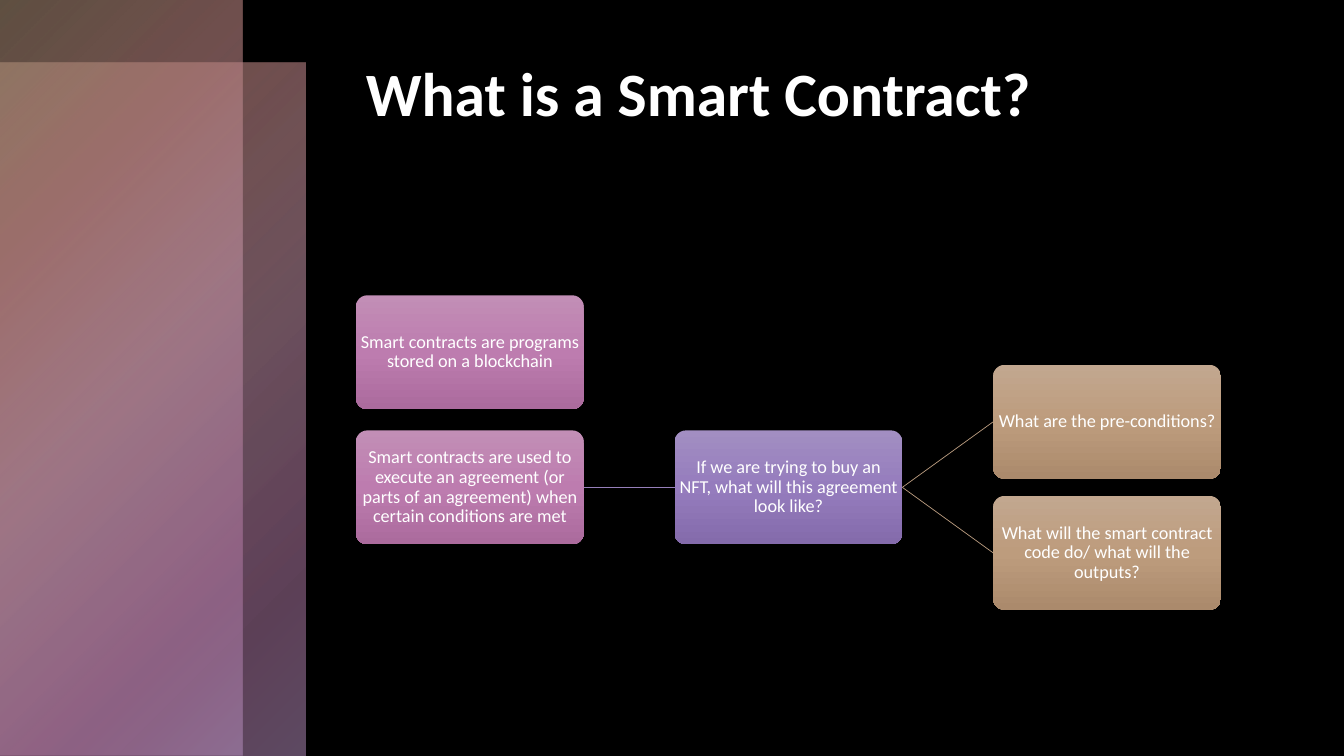
import pptx
import pptx.util
import pptx.dml.color
import pptx.enum.shapes
import pptx.enum.text
import pptx.oxml
import pptx.oxml.ns

Inches = pptx.util.Inches
Pt = pptx.util.Pt
RGBColor = pptx.dml.color.RGBColor
Shapes = pptx.enum.shapes.MSO_SHAPE

BLACK = RGBColor(0x00, 0x00, 0x00)
WHITE = RGBColor(0xFF, 0xFF, 0xFF)
LILAC = RGBColor(0x96, 0x7F, 0xBA)
TAN = RGBColor(0xBA, 0x9C, 0x80)
PINK_SHADES = (RGBColor(0xC2, 0x8E, 0xB6), RGBColor(0xBD, 0x7C, 0xAF), RGBColor(0xAB, 0x6B, 0x9D))
LILAC_SHADES = (RGBColor(0xA2, 0x8E, 0xC2), RGBColor(0x95, 0x7C, 0xBD), RGBColor(0x84, 0x6B, 0xAB))
TAN_SHADES = (RGBColor(0xC2, 0xA7, 0x8F), RGBColor(0xBD, 0x9C, 0x7D), RGBColor(0xAB, 0x8A, 0x6C))
PANEL_STOPS = (
    (0, TAN, 50),
    (25, RGBColor(0xBA, 0x82, 0x7F), 60),
    (50, RGBColor(0xC5, 0x94, 0xA6), 55),
    (81, RGBColor(0xBA, 0x7F, 0xAD), 50),
    (99, RGBColor(0xBC, 0x94, 0xC5), 50),
)
DOWNWARD = '<a:lin ang="5400000" scaled="0"/>'
FROM_CORNER = '<a:path path="circle"><a:fillToRect r="100000" b="100000"/></a:path>'

FONT = "Calibri"
NODE_WIDTH, NODE_HEIGHT = 2.26, 1.13


def fill_gradient(shape, stops, direction):
    shape.fill.gradient()
    gradient = shape.fill._xPr.find(pptx.oxml.ns.qn("a:gradFill"))
    stop_xml = "".join(
        f'<a:gs pos="{position * 1000}"><a:srgbClr val="{color}">'
        f'<a:alpha val="{opacity * 1000}"/></a:srgbClr></a:gs>'
        for position, color, opacity in stops
    )
    replacement = pptx.oxml.parse_xml(
        f'<a:gradFill {pptx.oxml.ns.nsdecls("a")} rotWithShape="1">'
        f"<a:gsLst>{stop_xml}</a:gsLst>{direction}</a:gradFill>"
    )
    gradient.getparent().replace(gradient, replacement)


def add_gradient_shape(page, kind, box, stops, direction):
    shape = page.shapes.add_shape(kind, *map(Inches, box))
    shape.shadow.inherit = False
    shape.line.fill.background()
    fill_gradient(shape, stops, direction)
    return shape


def write_text(para, text, size, bold=False):
    span = para.add_run()
    span.text = text
    span.font.name = FONT
    span.font.size = Pt(size)
    span.font.bold = bold
    span.font.color.rgb = WHITE


def add_side_panels(page, box):
    left, top, width, height = box
    step = 0.62
    for panel in (
        (left, top + step, width, height - step),
        (left, top, width - step, height),
    ):
        add_gradient_shape(page, Shapes.RECTANGLE, panel, PANEL_STOPS, FROM_CORNER)


def add_title(page, box):
    frame = page.shapes.add_textbox(*map(Inches, box)).text_frame
    frame.word_wrap = True
    write_text(frame.paragraphs[0], "What is a Smart Contract?", 44, True)


def add_node(page, left, top, shades, text):
    stops = [(50 * index, color, 100) for index, color in enumerate(shades)]
    node = add_gradient_shape(
        page, Shapes.ROUNDED_RECTANGLE, (left, top, NODE_WIDTH, NODE_HEIGHT), stops, DOWNWARD
    )
    node.adjustments[0] = 0.1
    frame = node.text_frame
    frame.word_wrap = True
    frame.vertical_anchor = pptx.enum.text.MSO_ANCHOR.MIDDLE
    frame.margin_left = frame.margin_right = Inches(0.01)
    frame.margin_top = frame.margin_bottom = Inches(0.01)
    para = frame.paragraphs[0]
    para.alignment = pptx.enum.text.PP_ALIGN.CENTER
    para.line_spacing = 0.9
    write_text(para, text, 13)
    return node


def join_nodes(page, start, end, color):
    link = page.shapes.add_connector(pptx.enum.shapes.MSO_CONNECTOR.STRAIGHT, 0, 0, 0, 0)
    link.begin_connect(start, 3)
    link.end_connect(end, 1)
    link.line.color.rgb = color
    link.line.width = Pt(0.5)
    link._element.spPr.append(
        pptx.oxml.parse_xml(f'<a:effectLst {pptx.oxml.ns.nsdecls("a")}/>')
    )


def add_diagram(page, box):
    left, top, width, height = box
    middle = left + (width - NODE_WIDTH) / 2
    right = left + width - NODE_WIDTH
    row = top + 1.34
    add_node(page, left, top, PINK_SHADES, "Smart contracts are programs stored on a blockchain")
    usage = add_node(
        page, left, row, PINK_SHADES,
        "Smart contracts are used to execute an agreement (or parts of an agreement) "
        "when certain conditions are met",
    )
    example = add_node(
        page, middle, row, LILAC_SHADES,
        "If we are trying to buy an NFT, what will this agreement look like?",
    )
    join_nodes(page, usage, example, LILAC)
    questions = (
        (row - 0.65, "What are the pre-conditions?"),
        (row + 0.65, "What will the smart contract code do/ what will the outputs?"),
    )
    for question_top, text in questions:
        question = add_node(page, right, question_top, TAN_SHADES, text)
        join_nodes(page, example, question, TAN)


def build_slide(deck):
    page = deck.slides.add_slide(deck.slide_layouts[6])
    page.background.fill.solid()
    page.background.fill.fore_color.rgb = BLACK
    add_side_panels(page, (0, 0, 3.03, 7.5))
    add_title(page, (3.53, 0.5, 8.58, 1.7))
    add_diagram(page, (3.53, 2.93, 8.58, 3.12))


def main():
    deck = pptx.Presentation()
    deck.slide_width = Inches(13.33)
    deck.slide_height = Inches(7.5)
    build_slide(deck)
    deck.save("out.pptx")


if __name__ == "__main__":
    main()
